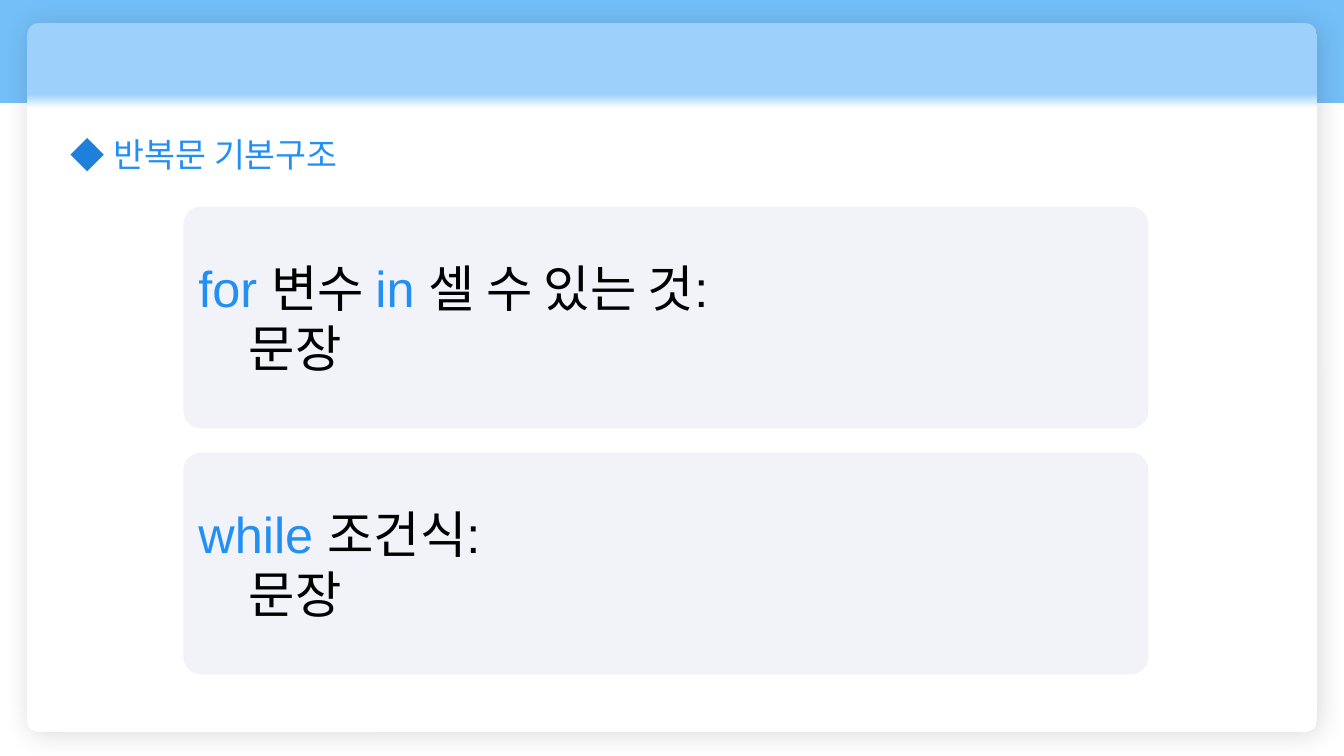
from lxml.etree import SubElement
from pptx import Presentation
from pptx.dml.color import RGBColor
from pptx.enum.shapes import MSO_SHAPE
from pptx.enum.text import MSO_ANCHOR, MSO_AUTO_SIZE, PP_ALIGN
from pptx.oxml import parse_xml
from pptx.oxml.ns import nsdecls, qn
from pptx.util import Inches, Pt

COLORS = {
    "band": "74BFF8",
    "card_top": "9DD1FB",
    "white": "FFFFFF",
    "accent": "228FF4",
    "diamond": "1F80DB",
    "panel": "F2F3F9",
    "black": "000000",
}


def add_run(paragraph, text, size=36, font="Arial", color="black"):
    run = paragraph.add_run()
    run.text = text
    run.font.size = Pt(size)
    run.font.name = font
    run.font.color.rgb = RGBColor.from_string(COLORS[color])


class SlideBuilder:
    def __init__(self, slide, heading_font):
        self.slide = slide
        self.heading_font = heading_font

    def shape(self, kind, left, top, width, height, color, corner=None):
        shape = self.slide.shapes.add_shape(
            kind, Inches(left), Inches(top), Inches(width), Inches(height))
        shape.shadow.inherit = False
        shape.fill.solid()
        shape.fill.fore_color.rgb = RGBColor.from_string(COLORS[color])
        shape.line.fill.background()
        if corner is not None:
            shape.adjustments[0] = corner
        return shape

    def card(self, left, top, width, height):
        shape = self.shape(MSO_SHAPE.ROUNDED_RECTANGLE, left, top, width, height,
                           "white", corner=0.016)
        properties = shape._element.spPr
        stops = "".join(
            f'<a:gs pos="{position * 1000}"><a:srgbClr val="{COLORS[color]}"/></a:gs>'
            for position, color in ((10, "card_top"), (12, "white"), (100, "white")))
        gradient = parse_xml(
            f'<a:gradFill {nsdecls("a")} rotWithShape="1"><a:gsLst>{stops}</a:gsLst>'
            '<a:lin ang="5400000" scaled="0"/></a:gradFill>')
        properties.replace(properties.find(qn("a:solidFill")), gradient)
        shadow = SubElement(
            properties.find(qn("a:effectLst")), qn("a:outerShdw"),
            blurRad=str(Pt(20)), dist=str(Pt(3)), dir="2700000",
            algn="tl", rotWithShape="0")
        shade = SubElement(shadow, qn("a:srgbClr"), val=COLORS["black"])
        SubElement(shade, qn("a:alpha"), val="14000")

    def heading(self, text, left, top, width, height):
        box = self.slide.shapes.add_textbox(
            Inches(left), Inches(top), Inches(width), Inches(height))
        frame = box.text_frame
        frame.word_wrap = True
        frame.auto_size = MSO_AUTO_SIZE.SHAPE_TO_FIT_TEXT
        add_run(frame.paragraphs[0], text, size=24, font=self.heading_font,
                color="accent")

    def syntax_panel(self, top, header):
        shape = self.shape(MSO_SHAPE.ROUNDED_RECTANGLE, 1.82, top, 9.57, 2.2,
                           "panel", corner=0.078)
        frame = shape.text_frame
        frame.word_wrap = True
        frame.vertical_anchor = MSO_ANCHOR.MIDDLE
        first = frame.paragraphs[0]
        body = frame.add_paragraph()
        for paragraph in (first, body):
            paragraph.alignment = PP_ALIGN.LEFT
        for text, color in header:
            add_run(first, text, color=color)
        add_run(body, "\t문장")


def main():
    presentation = Presentation()
    presentation.slide_width = Inches(13.33)
    presentation.slide_height = Inches(7.5)
    slide = presentation.slides.add_slide(presentation.slide_layouts[6])
    builder = SlideBuilder(slide, "Noto Sans CJK KR")

    builder.shape(MSO_SHAPE.RECTANGLE, 0, 0, 13.33, 1.02, "band")
    builder.card(0.27, 0.23, 12.79, 7.03)
    builder.heading("반복문 기본구조", 1.03, 1.28, 3.3, 0.5)
    builder.shape(MSO_SHAPE.DIAMOND, 0.7, 1.37, 0.33, 0.33, "diamond")

    headers = (
        (("for ", "accent"), ("변수 ", "black"),
         ("in ", "accent"), ("셀 수 있는 것:", "black")),
        (("while ", "accent"), ("조건식:", "black")),
    )
    for index, header in enumerate(headers):
        builder.syntax_panel(2.05 + index * 2.44, header)

    presentation.save("out.pptx")


if __name__ == "__main__":
    main()
